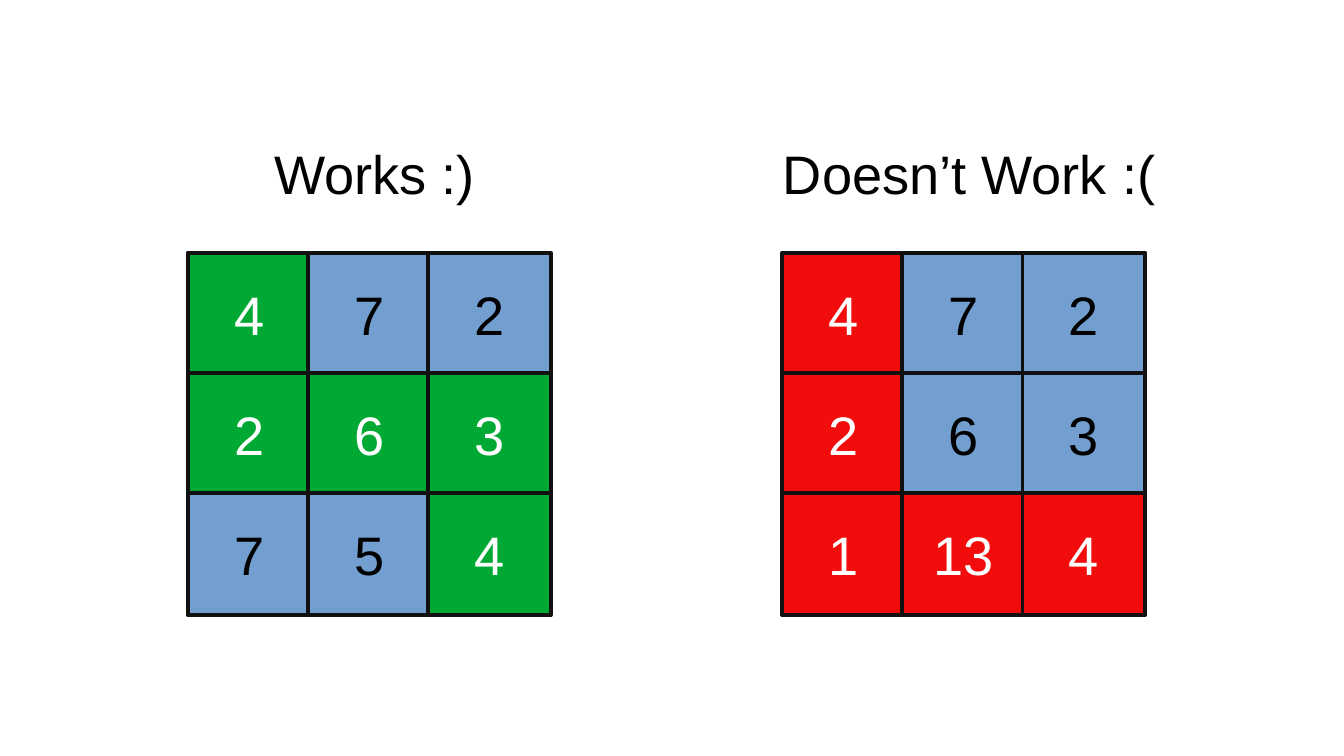
from pptx import Presentation
from pptx.dml.color import RGBColor
from pptx.enum import shapes, text
from pptx.util import Pt

COLORS = {
    "path_ok": "00A933",
    "path_bad": "F10D0C",
    "cell": "729FCF",
    "border": "111111",
    "light": "FFFFFF",
    "dark": "000000",
}
FONT, SIZE = "Arial", 32
PITCH = 70.92
CELL_W, CELL_H = 72.6, 72.2
TITLE_H, TITLE_SHIFT = 43.2, 3.4
GRID_TOP = 70  # from the top of the panel


def color(name):
    return RGBColor.from_string(COLORS[name])


def write(tf, words, ink, margins):
    tf.word_wrap = False
    tf.margin_left = tf.margin_right = Pt(margins[0])
    tf.margin_top = tf.margin_bottom = Pt(margins[1])
    p = tf.paragraphs[0]
    r = p.add_run()
    r.text = words
    r.font.name = FONT
    r.font.size = Pt(SIZE)
    r.font.color.rgb = color(ink)
    return p


def add_cell(s, x, y, number, fill, ink):
    sp = s.shapes.add_shape(shapes.MSO_SHAPE.RECTANGLE,
                            Pt(x), Pt(y), Pt(CELL_W), Pt(CELL_H))
    sp.shadow.inherit = False
    sp.fill.solid()
    sp.fill.fore_color.rgb = color(fill)
    sp.line.color.rgb = color("border")
    sp.line.width = Pt(2.3)
    sp.text_frame.vertical_anchor = text.MSO_ANCHOR.MIDDLE
    p = write(sp.text_frame, str(number), ink, (8, 4.5))
    p.alignment = text.PP_ALIGN.CENTER


def add_panel(s, left, top, title, title_w, rows, path_cells, path_fill):
    # Number grid, with the path cells highlighted
    for i, row in enumerate(rows):
        for j, number in enumerate(row):
            on_path = (i, j) in path_cells
            add_cell(s, left + j * PITCH, top + GRID_TOP + i * PITCH, number,
                     path_fill if on_path else "cell",
                     "light" if on_path else "dark")

    # Title, set just right of the grid's centre
    grid_w = 2 * PITCH + CELL_W
    x = left + (grid_w - title_w) / 2 + TITLE_SHIFT
    sp = s.shapes.add_textbox(Pt(x), Pt(top), Pt(title_w), Pt(TITLE_H))
    sp.text_frame.auto_size = text.MSO_AUTO_SIZE.SHAPE_TO_FIT_TEXT
    write(sp.text_frame, title, "dark", (7.2, 3.6))


def main():
    prs = Presentation()
    prs.slide_width, prs.slide_height = Pt(793.7), Pt(446.4)
    s = prs.slides.add_slide(prs.slide_layouts[6])

    # Failing path on the right
    add_panel(s, 462, 79.2, "Doesn’t Work :(", 234.7,
              [[4, 7, 2], [2, 6, 3], [1, 13, 4]],
              {(0, 0), (1, 0), (2, 0), (2, 1), (2, 2)}, "path_bad")

    # Working path on the left
    add_panel(s, 110.8, 79.2, "Works :)", 133.2,
              [[4, 7, 2], [2, 6, 3], [7, 5, 4]],
              {(0, 0), (1, 0), (1, 1), (1, 2), (2, 2)}, "path_ok")

    prs.save("out.pptx")


if __name__ == "__main__":
    main()
